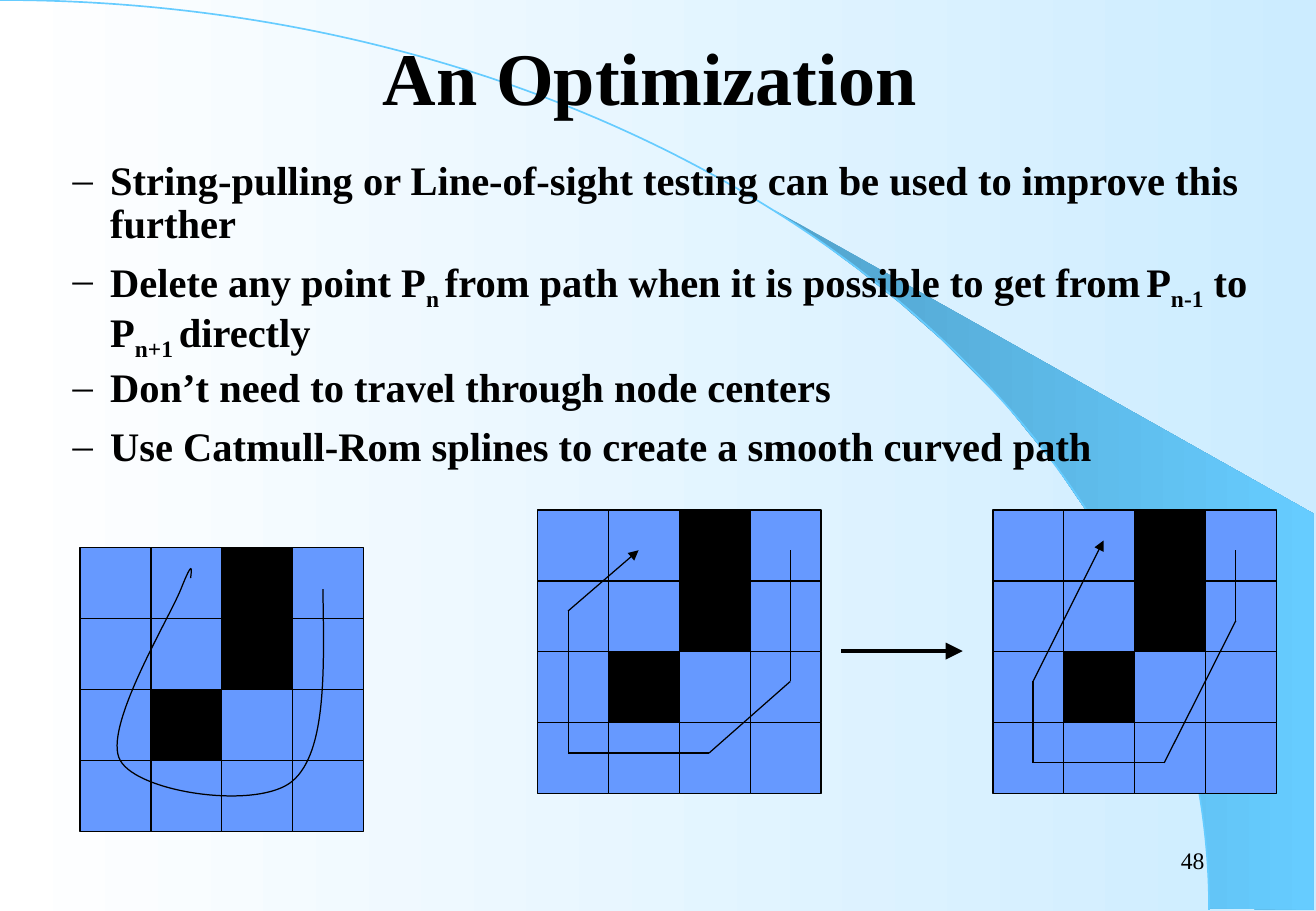
from lxml import etree
from pptx import Presentation
from pptx.dml.color import RGBColor
from pptx.enum.shapes import MSO_CONNECTOR, MSO_SHAPE
from pptx.enum.text import MSO_ANCHOR, PP_ALIGN
from pptx.oxml.ns import qn
from pptx.util import Inches, Pt

RECTANGLE = MSO_SHAPE.RECTANGLE
STRAIGHT = MSO_CONNECTOR.STRAIGHT
TOP, MIDDLE = MSO_ANCHOR.TOP, MSO_ANCHOR.MIDDLE
LEFT, CENTER, RIGHT = PP_ALIGN.LEFT, PP_ALIGN.CENTER, PP_ALIGN.RIGHT
BLACK = RGBColor(0x00, 0x00, 0x00)
WHITE = RGBColor(0xFF, 0xFF, 0xFF)
PALE_BLUE = RGBColor(0xCC, 0xEC, 0xFF)
SKY_BLUE = RGBColor(0x66, 0xCC, 0xFF)
DEEP_BLUE = RGBColor(0x52, 0xA3, 0xCC)
CELL_BLUE = RGBColor(0x66, 0x99, 0xFF)
FONT = "Times New Roman"


def add_text(page, paragraphs, left, top, width, height, size=24, bold=False,
             align=LEFT, anchor=TOP, bullet=None, line_spacings=(1.0,)):
    box = page.shapes.add_textbox(Inches(left), Inches(top), Inches(width), Inches(height))
    frame = box.text_frame
    frame.word_wrap = True
    frame.vertical_anchor = anchor
    for index, (spans, spacing) in enumerate(zip(paragraphs, line_spacings)):
        para = frame.add_paragraph() if index else frame.paragraphs[0]
        para.alignment = align
        para.line_spacing = spacing
        if index:
            para.space_before = Pt(6)
        if bullet:
            properties = para._p.get_or_add_pPr()
            properties.set("marL", str(Inches(0.81)))
            properties.set("indent", str(Inches(-0.31)))
            etree.SubElement(properties, qn("a:buFont")).set("typeface", FONT)
            etree.SubElement(properties, qn("a:buChar")).set("char", bullet)
        for text, is_subscript in spans:
            span = para.add_run()
            span.text = text
            span.font.name = FONT
            span.font.size = Pt(size)
            span.font.bold = bold
            span.font.color.rgb = BLACK
            if is_subscript:
                span.font._element.set("baseline", "-25000")


def add_curve(page, controls, color, width):
    builder = page.shapes.build_freeform(*map(Inches, controls[0]))
    builder.add_line_segments([(Inches(x), Inches(y)) for x, y in controls[1:]], close=False)
    curve = builder.convert_to_shape()
    segments = list(curve._element.iter(qn("a:lnTo")))
    for first in range(0, len(segments), 3):
        bezier = etree.Element(qn("a:cubicBezTo"))
        segments[first].addprevious(bezier)
        for segment in segments[first:first + 3]:
            bezier.append(segment[0])
            segment.getparent().remove(segment)
    curve.shadow.inherit = False
    curve.fill.background()
    curve.line.color.rgb = color
    curve.line.width = Pt(width)


deck = Presentation()
deck.slide_width, deck.slide_height = Inches(10.84), Inches(7.5)
page = deck.slides.add_slide(deck.slide_layouts[6])

wedge_points = [
    (9.97, 7.48), (10.82, 7.49), (10.82, 4.23), (6.38, 1.73), (6.76, 1.99),
    (7.07, 2.22), (7.42, 2.5), (7.76, 2.8), (8.26, 3.3), (8.7, 3.84), (9.02, 4.31),
    (9.3, 4.79), (9.52, 5.28), (9.68, 5.72), (9.79, 6.09), (9.89, 6.56), (9.94, 6.96),
]
builder = page.shapes.build_freeform(*map(Inches, wedge_points[0]))
builder.add_line_segments([(Inches(x), Inches(y)) for x, y in wedge_points[1:]])
wedge = builder.convert_to_shape()
wedge.shadow.inherit = False
wedge.line.fill.background()

for fill, colors in ((page.background.fill, (WHITE, PALE_BLUE)),
                     (wedge.fill, (DEEP_BLUE, SKY_BLUE))):
    fill.gradient()
    fill.gradient_angle = 0
    for stop, color in zip(fill.gradient_stops, colors):
        stop.color.rgb = color

add_curve(page, [(0, 0), (5.5, 0), (9.96, 3.35), (9.96, 7.49)], SKY_BLUE, 1)

add_text(page, [[("An Optimization", False)]], 0.36, 0, 9.99, 1.25,
         size=44, bold=True, align=CENTER, anchor=MIDDLE)
points_to_make = [
    [("String-pulling or Line-of-sight testing can be used to improve this further", False)],
    [("Delete any point P", False), ("n ", True),
     ("from path when it is possible to get from", False), (" ", True), ("P", False),
     ("n-1", True), (" to P", False), ("n+1 ", True), ("directly", False)],
    [("Don’t need to travel through node centers", False)],
    [("Use Catmull-Rom splines to create a smooth curved path", False)],
]
add_text(page, points_to_make, 0, 1.27, 10.83, 6.23, bold=True, bullet="–",
         line_spacings=(0.9, 0.9, 0.9, 1.0))
add_text(page, [[("48", False)]], 7.76, 6.83, 2.26, 0.5,
         size=14, align=RIGHT, anchor=MIDDLE)

CELL = 7 / 12
WALLS = {(2, 0), (2, 1), (1, 2)}
for grid_left, grid_top in ((8.18, 4.2), (4.43, 4.2), (0.66, 4.51)):
    for row in range(4):
        for column in range(4):
            cell = page.shapes.add_shape(
                RECTANGLE, Inches(grid_left + column * CELL),
                Inches(grid_top + row * CELL), Inches(CELL), Inches(CELL))
            cell.shadow.inherit = False
            cell.fill.solid()
            cell.fill.fore_color.rgb = BLACK if (column, row) in WALLS else CELL_BLUE
            cell.line.color.rgb = BLACK
            cell.line.width = Pt(0.75)

shortened_route = [(10.18, 4.53), (10.18, 5.11), (9.59, 6.28),
                   (8.51, 6.28), (8.51, 5.61), (9.09, 4.45)]
first_route = [(6.51, 4.53), (6.51, 5.61), (5.84, 6.2),
               (4.68, 6.2), (4.68, 5.03), (5.26, 4.53)]
step_arrow = [(6.93, 5.36), (7.93, 5.36)]
for route, width, head_size in ((shortened_route, 0.75, "med"),
                                (first_route, 0.75, "med"),
                                (step_arrow, 2, "lg")):
    for start, end in zip(route, route[1:]):
        leg = page.shapes.add_connector(STRAIGHT, *map(Inches, start + end))
        leg.line.color.rgb = BLACK
        leg.line.width = Pt(width)
        etree.SubElement(leg._element.spPr, qn("a:effectLst"))
    arrowhead = etree.SubElement(leg.line._get_or_add_ln(), qn("a:tailEnd"))
    arrowhead.set("type", "triangle")
    arrowhead.set("w", head_size)
    arrowhead.set("len", head_size)

smooth_route = [
    (2.66, 4.85), (2.67, 5.52), (2.69, 6.19), (2.41, 6.43), (2.13, 6.67),
    (1.14, 6.53), (0.99, 6.26), (0.84, 6), (1.39, 5.1), (1.49, 4.85),
    (1.59, 4.6), (1.58, 4.68), (1.57, 4.76),
]
add_curve(page, smooth_route, BLACK, 0.75)

deck.save("out.pptx")
